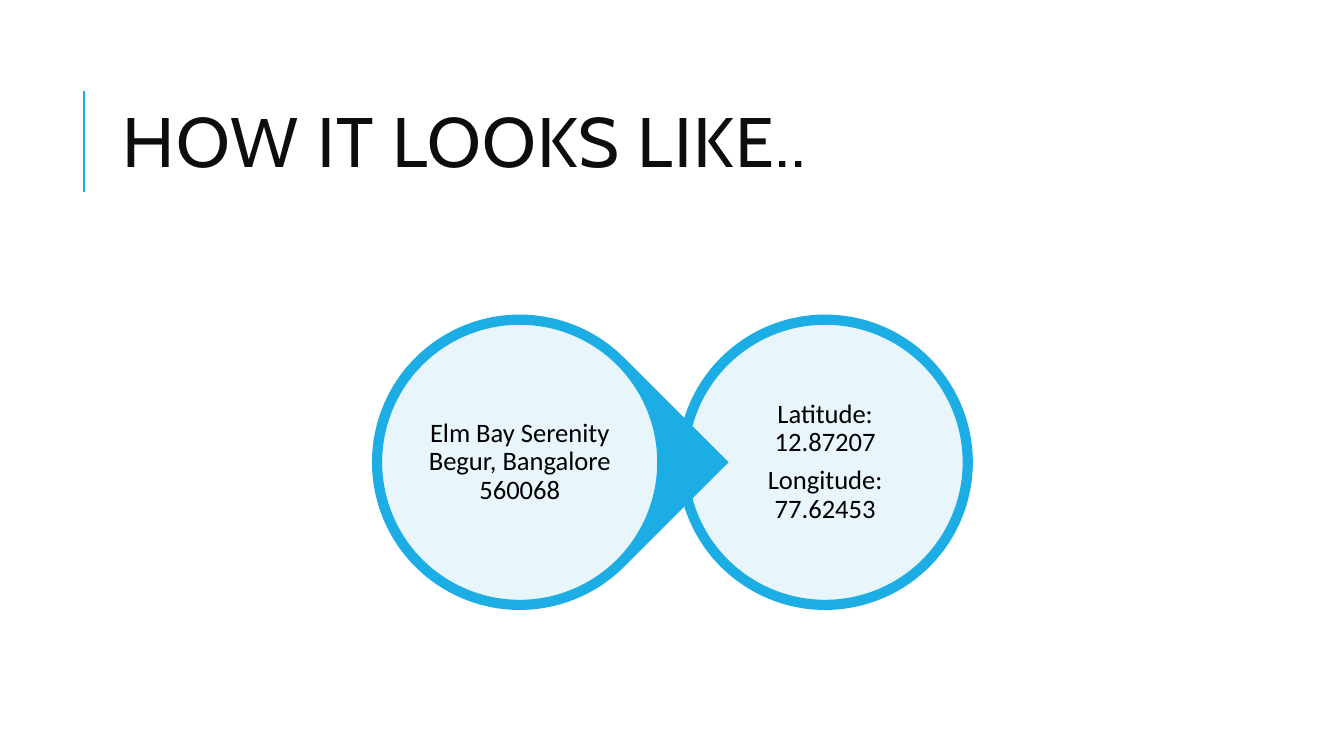
"""Build a slide that pairs an address with its coordinates."""
from dataclasses import dataclass

from lxml import etree
from pptx import Presentation
from pptx import util as u
from pptx.dml.color import RGBColor
from pptx.enum import shapes, text
from pptx.oxml import ns

BLUE = RGBColor(0x1C, 0xAD, 0xE4)
WHITE = RGBColor(0xFF, 0xFF, 0xFF)
INK = RGBColor(0x0D, 0x0D, 0x0D)
BLACK = RGBColor(0, 0, 0)

CENTER_Y = 330.2
RIM, DISC, LABEL = 211, 197.2, 140.4


@dataclass(frozen=True)
class Bubble:
    center_x: float
    rim: shapes.MSO_SHAPE
    rotation: float
    lines: tuple[str, ...]


BUBBLES = (
    Bubble(589.4, shapes.MSO_SHAPE.OVAL, 0,
           ("Latitude: 12.87207", "Longitude: 77.62453")),
    Bubble(371.2, shapes.MSO_SHAPE.TEAR, 45,
           ("Elm Bay Serenity Begur, Bangalore 560068",)),
)


def square(center_x: float, size: float) -> tuple[u.Pt, ...]:
    return (u.Pt(center_x - size / 2), u.Pt(CENTER_Y - size / 2),
            u.Pt(size), u.Pt(size))


def add_round(s, kind: shapes.MSO_SHAPE, center_x: float, size: float,
              color: RGBColor):
    sp = s.shapes.add_shape(kind, *square(center_x, size))
    sp.shadow.inherit = False
    sp.fill.solid()
    sp.fill.fore_color.rgb = color
    return sp


def set_font(p, name: str, size: float, color: RGBColor) -> None:
    p.font.name = name
    p.font.size = u.Pt(size)
    p.font.color.rgb = color


def add_bubble(s, bubble: Bubble) -> None:
    rim = add_round(s, bubble.rim, bubble.center_x, RIM, BLUE)
    rim.rotation = bubble.rotation
    rim.line.fill.background()

    disc = add_round(s, shapes.MSO_SHAPE.OVAL, bubble.center_x, DISC, WHITE)
    disc.line.color.rgb = BLUE
    disc.line.width = u.Pt(0.75)
    color = disc._element.spPr.find(ns.qn("a:solidFill"))[0]
    etree.SubElement(color, ns.qn("a:alpha"), val="90000")

    tf = s.shapes.add_textbox(*square(bubble.center_x, LABEL)).text_frame
    tf.word_wrap = True
    tf.vertical_anchor = text.MSO_ANCHOR.MIDDLE
    tf.margin_left = tf.margin_right = u.Pt(2)
    tf.margin_top = tf.margin_bottom = u.Pt(2)
    tf.text = "\n".join(bubble.lines)
    for p in tf.paragraphs:
        p.alignment = text.PP_ALIGN.CENTER
        p.line_spacing = 0.9
        p.space_after = u.Pt(6.65)
        set_font(p, "Calibri", 19, BLACK)


def add_heading(s, title: str) -> None:
    rule = s.shapes.add_connector(shapes.MSO_CONNECTOR.STRAIGHT, u.Pt(60),
                                  u.Pt(137), u.Pt(60), u.Pt(65))
    rule.line.color.rgb = BLUE
    rule.line.width = u.Pt(1.5)
    etree.SubElement(rule._element.spPr, ns.qn("a:effectLst"))

    tf = s.shapes.add_textbox(u.Pt(80.64), u.Pt(46), u.Pt(765.4),
                              u.Pt(118)).text_frame
    tf.word_wrap = True
    tf.vertical_anchor = text.MSO_ANCHOR.MIDDLE
    p = tf.paragraphs[0]
    p.line_spacing = 0.8
    set_font(p, "Cabin", 50, INK)
    r = p.add_run()
    r.text = title
    r._r.get_or_add_rPr().set("spc", "100")


def main() -> None:
    prs = Presentation()
    prs.slide_width, prs.slide_height = u.Pt(960), u.Pt(540)
    s = prs.slides.add_slide(prs.slide_layouts[6])
    add_heading(s, "HOW IT LOOKS LIKE..")
    for bubble in BUBBLES:
        add_bubble(s, bubble)
    prs.save("out.pptx")


if __name__ == "__main__":
    main()
